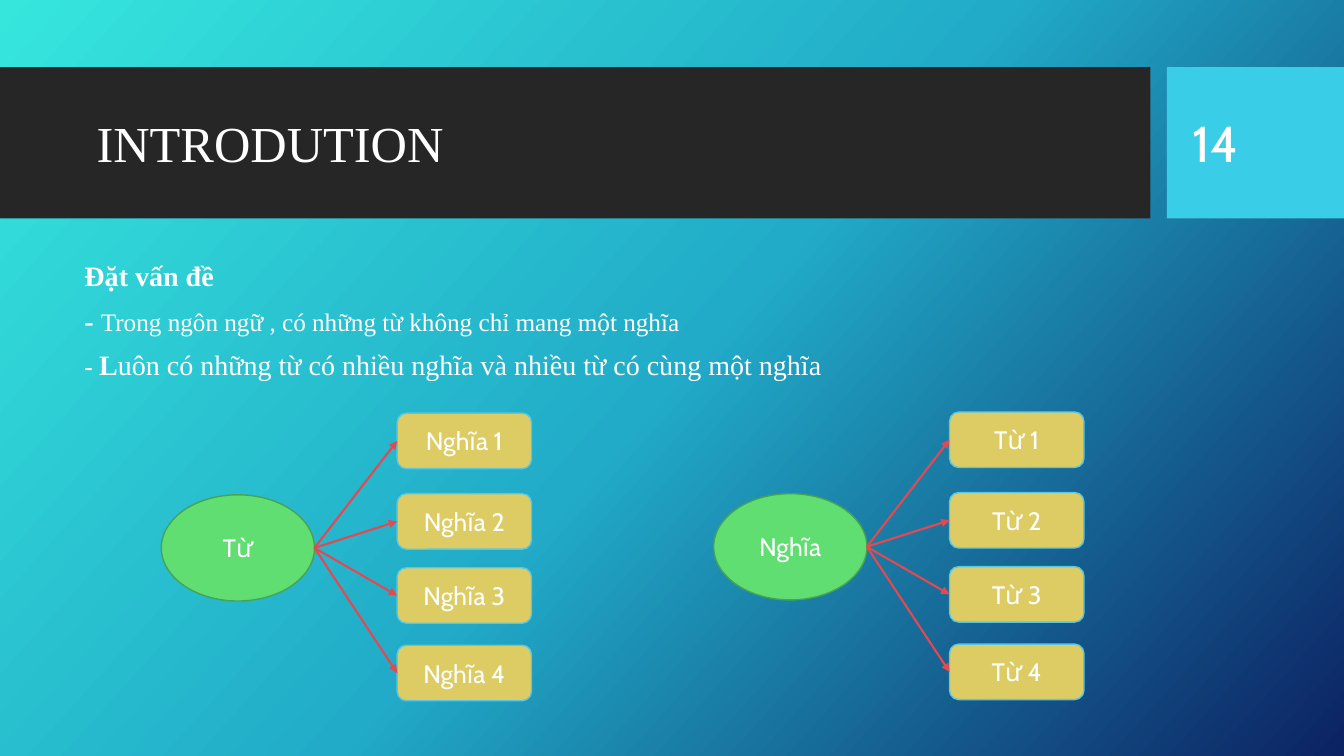
"""Build a slide on words and their many meanings."""
from copy import deepcopy
from dataclasses import dataclass

from pptx import Presentation
from pptx.dml.color import RGBColor as Rgb
from pptx.enum.shapes import MSO_CONNECTOR as Link, MSO_SHAPE as Kind
from pptx.enum.text import MSO_ANCHOR as Anchor, PP_ALIGN as Align
from pptx.oxml.ns import qn
from pptx.shapes.autoshape import Shape
from pptx.slide import Slide
from pptx.text.text import Font
from pptx.util import Emu, Inches, Pt

WIDE, HIGH = Inches(13.333), Inches(7.5)


@dataclass(frozen=True)
class Theme:
    """Colours, fonts and type sizes."""
    sky: tuple = ((0, "36E6DD"), (0.5, "21ABC8"), (1, "0C2263"))
    slant: int = 318
    dark: str = "262626"
    tile: str = "39CDE7"
    ink: str = "FFFFFF"
    hub: str = "60DE72"
    rim: str = "47A454"
    leaf: str = "DDCC64"
    edge: str = "5BC6DD"
    arrow: str = "E44951"
    sans: str = "Cabin"
    serif: str = "Times New Roman"
    head: int = 36
    lead: int = 20
    text: int = 18


@dataclass(frozen=True)
class Box:
    """A frame in percent of the slide's width and height."""
    x: float
    y: float
    w: float
    h: float

    def emu(self) -> tuple:
        """Return left, top, width and height."""
        return across(self.x), down(self.y), across(self.w), down(self.h)


@dataclass(frozen=True)
class Part:
    """A stretch of text in one style."""
    text: str
    size: int
    bold: bool = False


@dataclass(frozen=True)
class Fan:
    """A hub with arrows to numbered leaves."""
    x: float
    y: float
    hub: str
    leaf: str


THEME = Theme()
BAND = Box(0, 8.9, 85.6, 20)
TILE = Box(86.83, 8.9, 13.17, 20)
TITLE = Box(6.45, 10.9, 77.9, 15.75)
PAGE = Box(88, 10.9, 9.45, 15.85)
BODY = Box(5.55, 34.1, 78.8, 52.5)
HUB_W, HUB_H = 11.4, 14.05
LEAF_W, LEAF_H = 10, 7.35
LEAF_X = 17.55
LEAF_YS = (-10.8, -0.15, 9.65, 19.9)
LINES = (
    (Part("Đặt vấn đề", THEME.lead, True),),
    (Part("- ", THEME.lead, True),
     Part("Trong ngôn ngữ , có những từ không chỉ mang một nghĩa", THEME.text)),
    (Part("- ", THEME.text, True), Part("L", THEME.lead, True),
     Part("uôn có những từ có nhiều nghĩa và nhiều từ có cùng một nghĩa",
          THEME.lead)),
)
FANS = (Fan(12, 65.45, "Từ", "Nghĩa"), Fan(53.1, 65.3, "Nghĩa", "Từ"))


def across(share: float) -> Emu:
    """Turn a percent of the width into a length."""
    return Emu(round(WIDE * share / 100))


def down(share: float) -> Emu:
    """Turn a percent of the height into a length."""
    return Emu(round(HIGH * share / 100))


def style(font: Font, face: str, size: int, bold: bool = False) -> None:
    """Set a font's face, size, weight and colour."""
    font.name, font.size, font.bold = face, Pt(size), bold
    font.color.rgb = Rgb.from_string(THEME.ink)


def paint(slide: Slide) -> None:
    """Fill the background with the sky gradient."""
    fill = slide.background.fill
    fill.gradient()
    fill.gradient_angle = THEME.slant
    stops = slide.element.xpath(".//a:gsLst")[0]
    stops.insert(1, deepcopy(stops[0]))
    for stop, (place, hue) in zip(fill.gradient_stops, THEME.sky):
        stop.position = place
        stop.color.rgb = Rgb.from_string(hue)


def shape(slide: Slide, kind: Kind, box: Box, fill: str,
          edge: str = "", text: str = "") -> Shape:
    """Draw a filled shape with an optional edge and label."""
    form = slide.shapes.add_shape(kind, *box.emu())
    form.shadow.inherit = False
    form.fill.solid()
    form.fill.fore_color.rgb = Rgb.from_string(fill)
    if edge:
        form.line.color.rgb = Rgb.from_string(edge)
        form.line.width = Pt(1)
    else:
        form.line.fill.background()
    if text:
        frame = form.text_frame
        frame.vertical_anchor = Anchor.MIDDLE
        line = frame.paragraphs[0]
        line.text, line.alignment = text, Align.CENTER
        style(line.font, THEME.sans, THEME.text)
    return form


def label(slide: Slide, box: Box, text: str, face: str) -> None:
    """Write one large line, centred in height."""
    frame = slide.shapes.add_textbox(*box.emu()).text_frame
    frame.word_wrap, frame.vertical_anchor = True, Anchor.MIDDLE
    line = frame.paragraphs[0]
    line.text = text
    style(line.font, face, THEME.head)


def body(slide: Slide) -> None:
    """Write the lines of mixed styles."""
    frame = slide.shapes.add_textbox(*BODY.emu()).text_frame
    frame.word_wrap = True
    for rank, parts in enumerate(LINES):
        line = frame.add_paragraph() if rank else frame.paragraphs[0]
        line.line_spacing = 0.9
        if rank:
            line.space_before = Pt(10)
        for part in parts:
            run = line.add_run()
            run.text = part.text
            style(run.font, THEME.serif, part.size, part.bold)


def arrow(slide: Slide, hub: Shape, leaf: Shape) -> None:
    """Point from the hub's right side to a leaf's left side."""
    start = hub.left + hub.width, hub.top + hub.height // 2
    line = slide.shapes.add_connector(Link.STRAIGHT, *start, leaf.left, leaf.top)
    line.end_connect(leaf, 1)
    line.line.color.rgb = Rgb.from_string(THEME.arrow)
    line.line.width = Pt(1.5)
    props = line.element.spPr
    tip = props.find(qn("a:ln")).makeelement(qn("a:tailEnd"), {"type": "triangle"})
    props.find(qn("a:ln")).append(tip)
    props.append(props.makeelement(qn("a:effectLst"), {}))


def draw(slide: Slide, fan: Fan) -> None:
    """Draw a hub, its leaves and the arrows."""
    hub = shape(slide, Kind.OVAL, Box(fan.x, fan.y, HUB_W, HUB_H),
                THEME.hub, THEME.rim, fan.hub)
    leaves = [
        shape(slide, Kind.ROUNDED_RECTANGLE,
              Box(fan.x + LEAF_X, fan.y + y, LEAF_W, LEAF_H),
              THEME.leaf, THEME.edge, f"{fan.leaf} {rank}")
        for rank, y in enumerate(LEAF_YS, 1)
    ]
    for leaf in leaves:
        arrow(slide, hub, leaf)


def main() -> None:
    """Build and save the slide."""
    deck = Presentation()
    deck.slide_width, deck.slide_height = WIDE, HIGH
    slide = deck.slides.add_slide(deck.slide_layouts[6])
    paint(slide)
    shape(slide, Kind.RECTANGLE, BAND, THEME.dark)
    shape(slide, Kind.RECTANGLE, TILE, THEME.tile)
    label(slide, TITLE, "INTRODUTION", THEME.serif)
    body(slide)
    label(slide, PAGE, "14", THEME.sans)
    for fan in FANS:
        draw(slide, fan)
    deck.save("out.pptx")


if __name__ == "__main__":
    main()
